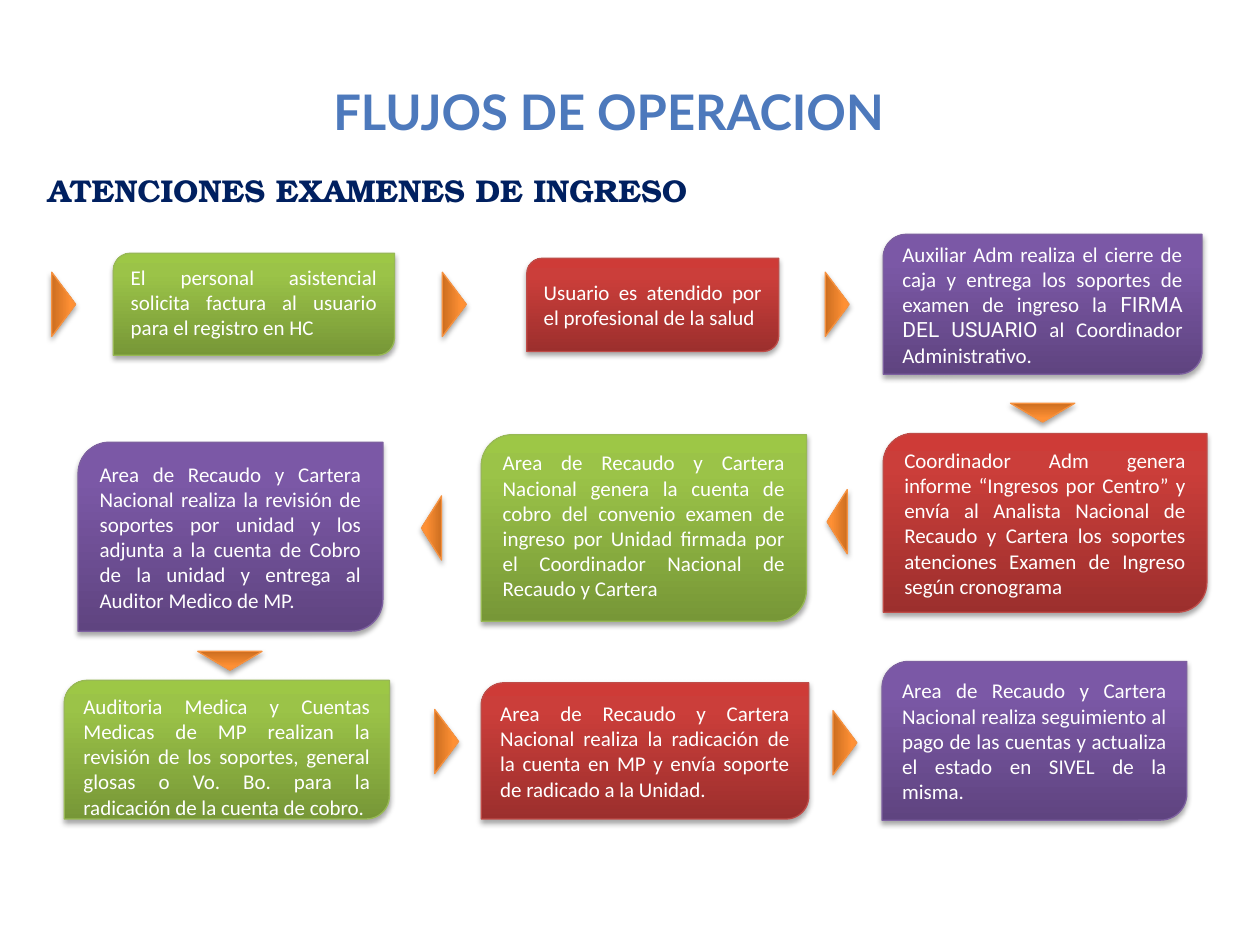
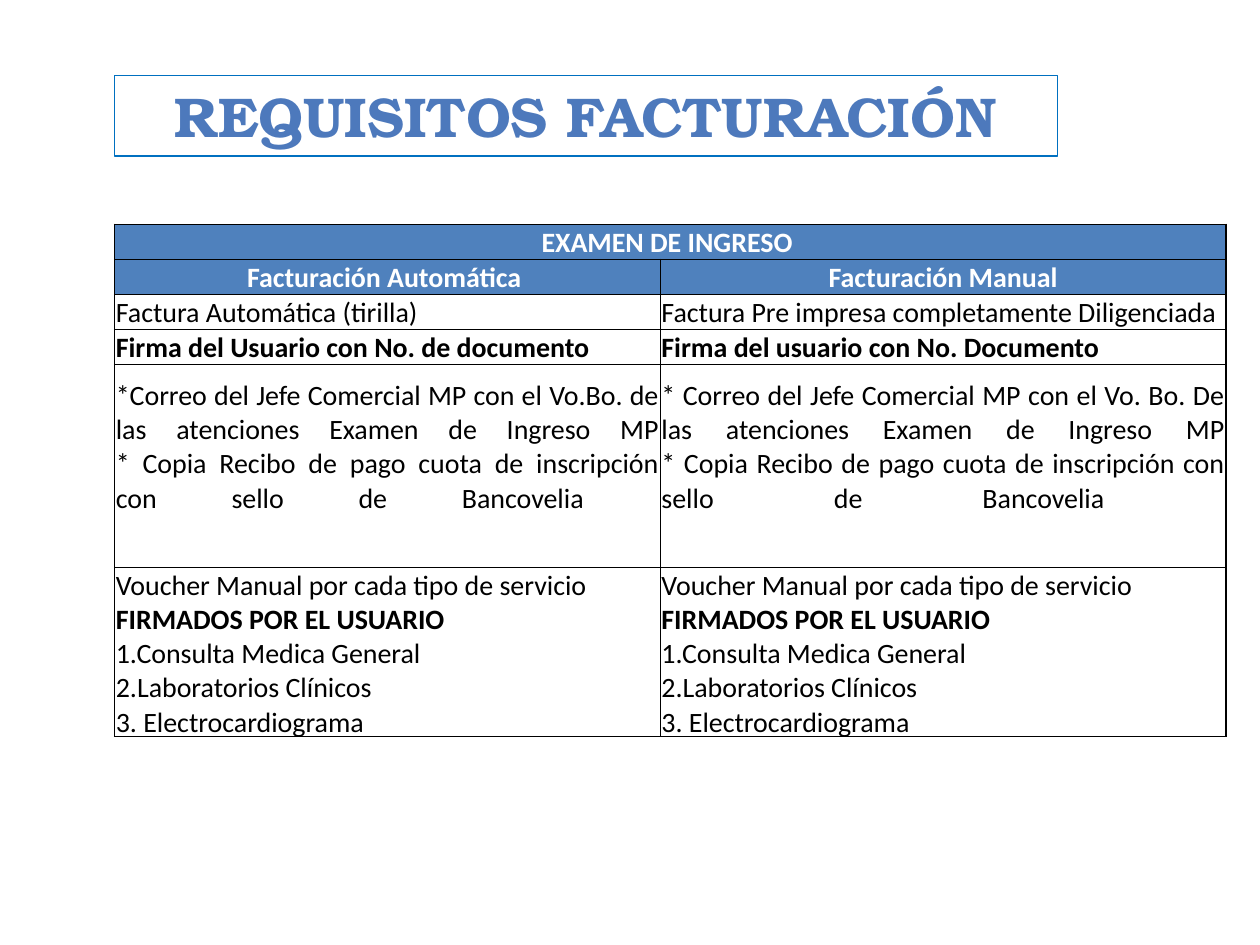
from lxml import etree
from pptx import Presentation
from pptx.dml.color import RGBColor
from pptx.enum import shapes, text
from pptx.oxml import ns
from pptx.util import Pt

COLORS = {
    "navy": "002060", "frame": "0070C0", "header": "4F81BD",
    "white": "FFFFFF", "black": "000000",
}
GRADIENTS = {
    "title": [(0, "7494C9"), (49, "4D79BC"), (50, "346AAA"), (92, "325F94"), (100, "315D91")],
    "green": [(0, "779737"), (80, "9BC348"), (100, "9DC746")],
    "red": [(0, "9C2F2D"), (80, "CB3E3A"), (100, "CE3B37")],
    "purple": [(0, "5F4480"), (80, "7B58A6"), (100, "7C57A8")],
    "orange": [(0, "CC6E20"), (80, "FF9034"), (100, "FF9136")],
}
EDGES = {"green": "98B955", "red": "BF4C48", "purple": "7D60A0", "orange": "F69240"}
BODY, HEADING, SERIF = "Calibri", "Lato", "TeX Gyre Bonum"
ALIGN, ANCHOR, SHAPE = text.PP_ALIGN, text.MSO_ANCHOR, shapes.MSO_SHAPE
ARROWS = {"right": (90, 13.7), "down": (180, 10.8), "left": (270, 11.5)}
ARROW_BASE = 36.7

STEPS = [
    ("green", (46.8, 14.7, 160.6, 58.3),
     ["El personal asistencial solicita factura al usuario para el registro en HC"]),
    ("red", (283, 17.6, 144, 53.3), ["Usuario es atendido por el profesional de la salud"]),
    ("purple", (486.7, 3.9, 182.2, 79.9),
     ["Auxiliar Adm realiza el cierre de caja y entrega los soportes de examen de ingreso la ",
      ("FIRMA DEL USUARIO", "Roboto"), " al Coordinador Administrativo. "]),
    ("red", (486.7, 117.7, 185, 102.2),
     ["Coordinador Adm genera informe “Ingresos por Centro” y envía al Analista Nacional de "
      "Recaudo y Cartera los soportes atenciones Examen de Ingreso según cronograma"]),
    ("green", (257, 118.4, 185.8, 106.6),
     ["Area de Recaudo y Cartera Nacional genera la cuenta de cobro del convenio examen de "
      "ingreso por Unidad firmada por el Coordinador Nacional de Recaudo y Cartera"]),
    ("purple", (26.6, 122.7, 174.2, 108),
     ["Area de Recaudo y Cartera Nacional realiza la revisión de soportes por unidad y los "
      "adjunta a la cuenta de Cobro de la unidad y entrega al Auditor Medico de MP."]),
    ("green", (18.7, 258.8, 185.8, 79.2),
     ["Auditoria Medica y Cuentas Medicas de MP realizan la revisión de los soportes, general "
      "glosas o Vo. Bo. para la radicación de la cuenta de cobro."]),
    ("red", (257, 260.2, 187.2, 77.8),
     ["Area de Recaudo y Cartera Nacional realiza la radicación de la cuenta en MP y envía "
      "soporte de radicado a la Unidad. "]),
    ("purple", (486, 248, 174.2, 90.7),
     ["Area de Recaudo y Cartera Nacional realiza seguimiento al pago de las cuentas y "
      "actualiza el estado en SIVEL de la misma."]),
]
LINKS = [
    ("right", 18.4, 43.9), ("right", 241.6, 43.9), ("right", 460.4, 43.9),
    ("down", 577.8, 105.8), ("left", 460.4, 168.1), ("left", 228.6, 171.7),
    ("down", 113.4, 247.6), ("right", 237.2, 293.7), ("right", 464.8, 294.4),
]

RECEIPT = "* Copia Recibo de pago cuota de inscripción con sello de Bancovelia \n"
VOUCHER = [
    ("Voucher Manual por cada tipo de servicio ", False),
    ("FIRMADOS POR EL USUARIO\n", True),
    ("1.Consulta Medica General\n2.Laboratorios Clínicos\n3. Electrocardiograma ", False),
]
COLUMNS = [311.8, 323.3]
ROWS = [
    (20, ANCHOR.MIDDLE, ALIGN.CENTER, [[("EXAMEN DE INGRESO ", True)]]),
    (20, ANCHOR.BOTTOM, ALIGN.CENTER,
     [[("Facturación Automática ", True)], [("Facturación Manual", True)]]),
    (20, ANCHOR.BOTTOM, ALIGN.JUSTIFY,
     [[("Factura Automática (tirilla)", False)],
      [("Factura Pre impresa completamente Diligenciada", False)]]),
    (20, ANCHOR.BOTTOM, ALIGN.JUSTIFY,
     [[("Firma del Usuario con No. de documento", True)],
      [("Firma del usuario con No. Documento", True)]]),
    (116, ANCHOR.MIDDLE, ALIGN.JUSTIFY,
     [[("*Correo del Jefe Comercial MP con el Vo.Bo. de las atenciones Examen de Ingreso MP\n"
        + RECEIPT, False)],
      [("* Correo del Jefe Comercial MP con el Vo. Bo. De las atenciones Examen de Ingreso MP\n"
        + RECEIPT, False)]]),
    (96, ANCHOR.MIDDLE, ALIGN.LEFT, [VOUCHER, VOUCHER]),
]


def rgb(name):
    """Return the colour of a palette name or hex string."""
    return RGBColor.from_string(COLORS.get(name, name))


def points(*lengths):
    """Turn numbers into point lengths."""
    return [Pt(length) for length in lengths]


def child(parent, tag, **attributes):
    """Append a drawing element with its attributes."""
    values = {key: str(value) for key, value in attributes.items()}
    return etree.SubElement(parent, ns.qn("a:" + tag), values)


def set_gradient(owner, name, angle):
    """Replace the solid fill of an element with a named gradient."""
    solid = owner.find(ns.qn("a:solidFill"))
    gradient = etree.Element(ns.qn("a:gradFill"), rotWithShape="1")
    stops = child(gradient, "gsLst")
    for position, color in GRADIENTS[name]:
        child(child(stops, "gs", pos=position * 1000), "srgbClr", val=color)
    child(gradient, "lin", ang=angle * 60000, scaled=0)
    owner.replace(solid, gradient)


def add_span(para, words, font, size, color, bold=False):
    """Add runs in one style, with a line break at each newline."""
    spans = []
    for index, line in enumerate(words.split("\n")):
        if index:
            para.add_line_break()
        if line:
            span = para.add_run()
            span.text = line
            span.font.name, span.font.size, span.font.bold = font, Pt(size), bold
            span.font.fill.solid()
            span.font.fill.fore_color.rgb = rgb(color)
            spans.append(span)
    return spans


def add_title(shape, words, font, size):
    """Write a centred bold title with the shared gradient."""
    frame = shape.text_frame
    frame.word_wrap = True
    frame.vertical_anchor = ANCHOR.TOP
    para = frame.paragraphs[0]
    para.alignment = ALIGN.CENTER
    for span in add_span(para, words, font, size, "4D79BC", True):
        set_gradient(span.font._element if hasattr(span.font, "_element") else span._r.rPr,
                     "title", 90)


def add_glossy(page, kind, box, name):
    """Add a gradient shape with a thin edge and a soft shadow."""
    shape = page.shapes.add_shape(kind, *points(*box))
    shape.fill.solid()
    set_gradient(shape._element.spPr, name, 270)
    shape.line.color.rgb = rgb(EDGES[name])
    shape.line.width = Pt(0.75)
    shape.shadow.inherit = False
    effects = shape._element.spPr.find(ns.qn("a:effectLst"))
    shadow = child(effects, "outerShdw", blurRad=Pt(3.1), dist=Pt(1.8),
                   dir=5400000, rotWithShape=0)
    child(child(shadow, "srgbClr", val=COLORS["black"]), "alpha", val=35000)
    return shape


def add_step(page, box, name, parts):
    """Add one step card with justified white text."""
    frame = add_glossy(page, SHAPE.ROUND_2_DIAG_RECTANGLE, box, name).text_frame
    frame.vertical_anchor = ANCHOR.TOP if name == "green" else ANCHOR.MIDDLE
    para = frame.paragraphs[0]
    para.alignment = ALIGN.JUSTIFY
    for part in parts:
        words, font = (part, BODY) if isinstance(part, str) else part
        add_span(para, words, font, 12, "white")


def add_flow(page, box):
    """Place the step cards and the arrowheads between them."""
    left, top = box
    for name, (x, y, width, height), parts in STEPS:
        add_step(page, (left + x, top + y, width, height), name, parts)
    for direction, x, y in LINKS:
        angle, depth = ARROWS[direction]
        place = (left + x - ARROW_BASE / 2, top + y - depth / 2, ARROW_BASE, depth)
        add_glossy(page, SHAPE.ISOSCELES_TRIANGLE, place, "orange").rotation = angle


def set_borders(cell, widths):
    """Draw the left, right, top and bottom borders of a cell."""
    properties = cell._tc.get_or_add_tcPr()
    for index, (side, width) in enumerate(zip("LRTB", widths)):
        line = child(properties, "ln" + side, w=Pt(width))
        child(child(line, "solidFill"), "srgbClr", val=COLORS["black"])
        properties.insert(index, line)


def add_requirements(page, box):
    """Add the table of billing requirements."""
    height = sum(row[0] for row in ROWS)
    table = page.shapes.add_table(
        len(ROWS), len(COLUMNS), *points(*box, sum(COLUMNS), height)).table
    table.first_row = table.horz_banding = False
    for column, width in zip(table.columns, COLUMNS):
        column.width = Pt(width)
    table.cell(0, 0).merge(table.cell(0, 1))
    last = len(ROWS) - 1
    for number, (height, anchor, alignment, entries) in enumerate(ROWS):
        table.rows[number].height = Pt(height)
        header = number < 2
        widths = (1, 1, 1 if header else 0.5, 1 if number in (0, last) else 0.5)
        for cell in table.rows[number].cells:
            set_borders(cell, widths)
        for index, parts in enumerate(entries):
            cell = table.cell(number, index)
            cell.margin_left = cell.margin_right = cell.margin_top = Pt(0.7)
            cell.margin_bottom = Pt(0)
            cell.vertical_anchor = anchor
            if header:
                cell.fill.solid()
                cell.fill.fore_color.rgb = rgb("header")
            else:
                cell.fill.background()
            para = cell.text_frame.paragraphs[0]
            para.alignment = alignment
            for words, bold in parts:
                add_span(para, words, BODY, 16, "white" if header else "black", bold)


def build_flow_page(page):
    """Build the slide with the flow of operations."""
    title = page.shapes.add_textbox(*points(25.2, 43.2, 645, 41))
    add_title(title, "FLUJOS DE OPERACION", HEADING, 28)
    subtitle = page.shapes.add_textbox(*points(20.2, 94.3, 663, 28.8))
    subtitle.text_frame.word_wrap = True
    add_span(subtitle.text_frame.paragraphs[0], "ATENCIONES EXAMENES DE INGRESO",
             SERIF, 18, "navy", True)
    add_flow(page, (18, 130))


def build_requirements_page(page):
    """Build the slide with the billing requirements."""
    title = page.shapes.add_shape(SHAPE.RECTANGLE, *points(65.5, 43.2, 538.6, 46))
    title.shadow.inherit = False
    title.fill.background()
    title.line.color.rgb = rgb("frame")
    title.line.width = Pt(0.75)
    add_title(title, "REQUISITOS FACTURACIÓN", SERIF, 32)
    add_requirements(page, (65.5, 128.2))


deck = Presentation()
deck.slide_width, deck.slide_height = points(720, 540)
for build in (build_flow_page, build_requirements_page):
    build(deck.slides.add_slide(deck.slide_layouts[6]))
deck.save("out.pptx")
